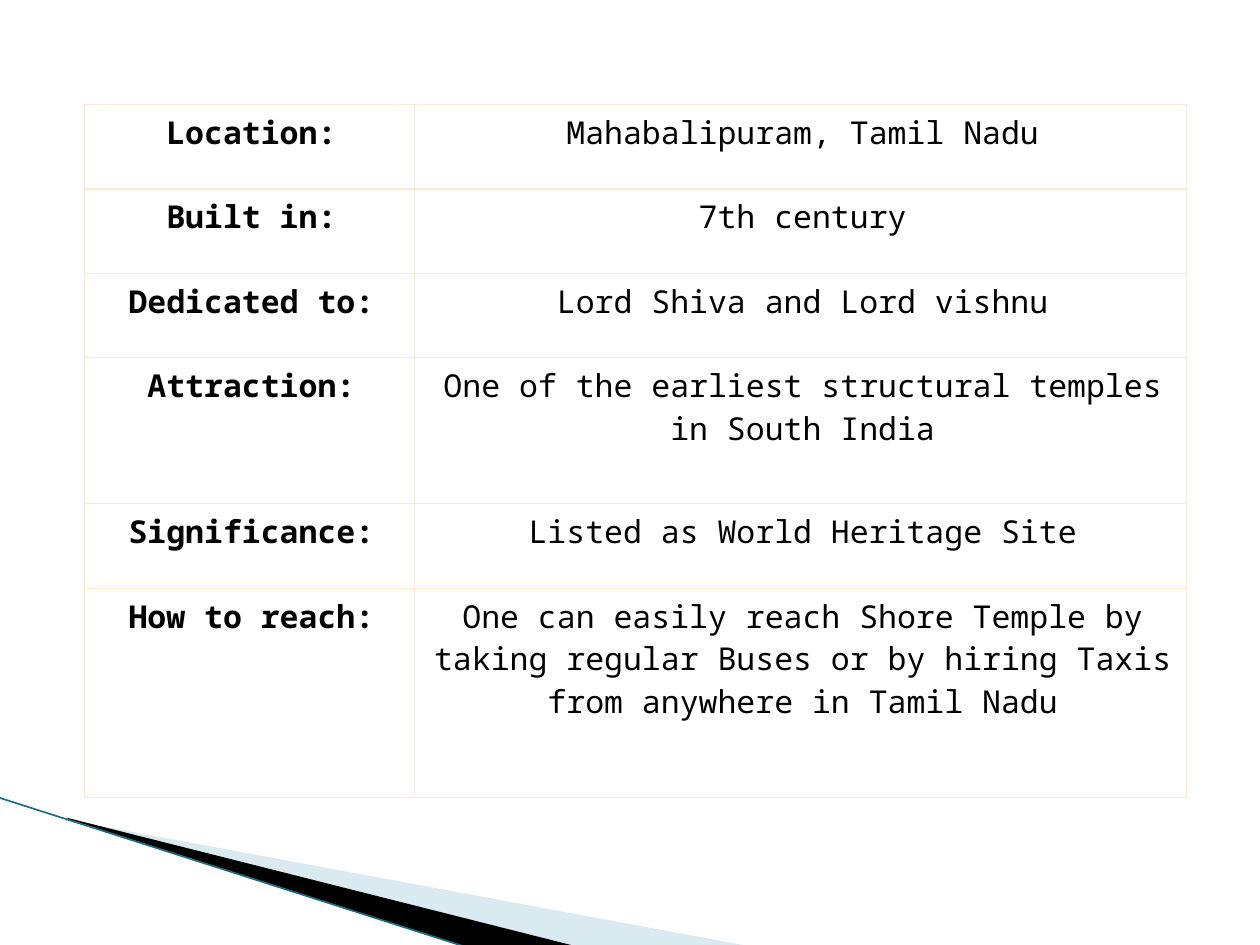
from dataclasses import dataclass

from lxml.etree import SubElement
from pptx import Presentation
from pptx.dml.color import RGBColor
from pptx.enum.shapes import MSO_CONNECTOR
from pptx.enum.text import PP_ALIGN
from pptx.oxml.ns import qn
from pptx.util import Inches, Pt


@dataclass(frozen=True)
class Theme:
    font: str = "Noto Sans Mono"
    text_size: float = 18
    text: str = "000000"
    cell: str = "FFFFFF"
    border: str = "FFEAD0"
    border_width: float = 0.75
    pale_wedge: str = "A0CBDC"
    pale_alpha: int = 40
    dark_wedge: str = "000000"
    edge: str = "1B6E82"
    edge_width: float = 0.95


THEME = Theme()

COLUMNS = (2.62, 6.13)
FACTS = (
    ("Location:", "Mahabalipuram, Tamil Nadu", 0.67),
    ("Built in:", "7th century", 0.67),
    ("Dedicated to:", "Lord Shiva and Lord vishnu", 0.67),
    ("Attraction:", "One of the earliest structural temples in South India", 1.16),
    ("Significance:", "Listed as World Heritage Site", 0.67),
    ("How to reach:", "One can easily reach Shore Temple by taking regular Buses "
     "or by hiring Taxis from anywhere in Tamil Nadu", 1.66),
)


def rgb(value):
    return RGBColor.from_string(value)


def add_wedge(s, points, color, alpha=100):
    """Draw a filled outline; alpha is the opacity in percent."""
    start, *rest = [(Inches(x), Inches(y)) for x, y in points]
    builder = s.shapes.build_freeform(*start)
    builder.add_line_segments(rest, close=True)
    sp = builder.convert_to_shape()
    sp.shadow.inherit = False
    sp.line.fill.background()
    sp.fill.solid()
    sp.fill.fore_color.rgb = rgb(color)
    if alpha < 100:
        clr = sp._element.spPr.find(f"{qn('a:solidFill')}/{qn('a:srgbClr')}")
        SubElement(clr, qn("a:alpha"), val=str(alpha * 1000))


def add_edge(s, start, end):
    line = s.shapes.add_connector(
        MSO_CONNECTOR.STRAIGHT, *map(Inches, start + end))
    line.line.color.rgb = rgb(THEME.edge)
    line.line.width = Pt(THEME.edge_width)
    SubElement(line._element.spPr, qn("a:effectLst"))


def set_borders(cell):
    """Put the border lines before the cell's fill, as the schema asks."""
    tc_pr = cell._tc.get_or_add_tcPr()
    for i, side in enumerate(("a:lnL", "a:lnR", "a:lnT", "a:lnB")):
        ln = SubElement(tc_pr, qn(side), w=str(Pt(THEME.border_width)))
        fill = SubElement(ln, qn("a:solidFill"))
        SubElement(fill, qn("a:srgbClr"), val=THEME.border)
        tc_pr.insert(i, ln)


def fill_cell(cell, text, bold):
    cell.fill.solid()
    cell.fill.fore_color.rgb = rgb(THEME.cell)
    cell.margin_left, cell.margin_right = Inches(0.11), Inches(0.08)
    cell.margin_top = cell.margin_bottom = Inches(0.05)
    set_borders(cell)
    p = cell.text_frame.paragraphs[0]
    p.alignment = PP_ALIGN.CENTER
    r = p.add_run()
    r.text = text
    r.font.name = THEME.font
    r.font.size = Pt(THEME.text_size)
    r.font.bold = bold
    r.font.color.rgb = rgb(THEME.text)


def add_fact_table(s, left, top):
    height = sum(fact[2] for fact in FACTS)
    table = s.shapes.add_table(
        len(FACTS), len(COLUMNS), Inches(left), Inches(top),
        Inches(sum(COLUMNS)), Inches(height)).table
    table.first_row = table.horz_banding = False
    for column, width in zip(table.columns, COLUMNS):
        column.width = Inches(width)
    for i, (label, detail, row_height) in enumerate(FACTS):
        table.rows[i].height = Inches(row_height)
        fill_cell(table.cell(i, 0), label, bold=True)
        fill_cell(table.cell(i, 1), detail, bold=False)


def main():
    prs = Presentation()
    prs.slide_width, prs.slide_height = Inches(10), Inches(7.5)
    s = prs.slides.add_slide(prs.slide_layouts[6])
    add_wedge(s, [(0.55, 6.51), (5.95, 7.51), (4.56, 7.51), (0.55, 6.5)],
              THEME.pale_wedge, THEME.pale_alpha)
    add_wedge(s, [(0.53, 6.49), (4.57, 7.51), (3.72, 7.52), (0.54, 6.5)],
              THEME.dark_wedge)
    add_edge(s, (-0.01, 6.33), (3.71, 7.52))
    add_fact_table(s, 0.67, 0.83)
    prs.save("out.pptx")


if __name__ == "__main__":
    main()
